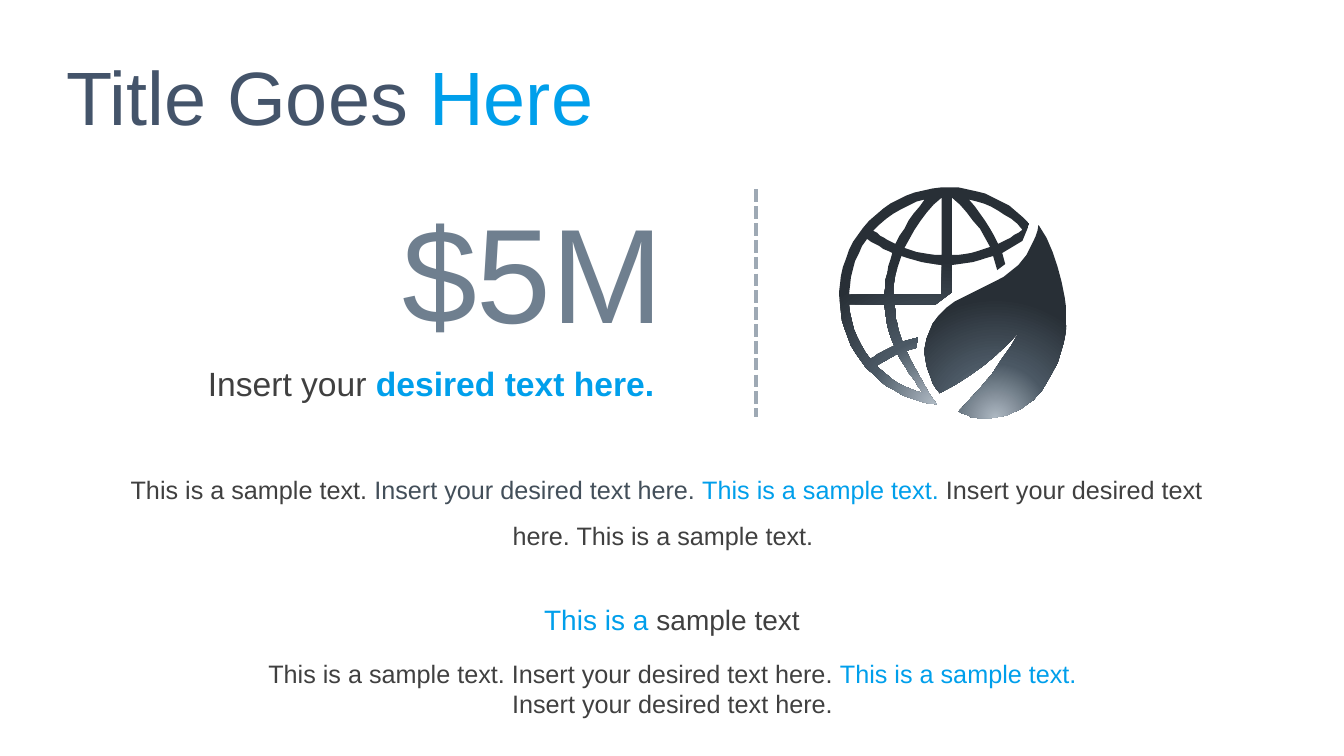
from dataclasses import dataclass
from math import atan, cos, sin

from lxml import etree
from pptx import Presentation
from pptx.dml.color import RGBColor
from pptx.enum.dml import MSO_LINE
from pptx.enum.shapes import MSO_CONNECTOR
from pptx.enum.text import MSO_ANCHOR, MSO_AUTO_SIZE, PP_ALIGN
from pptx.oxml import parse_xml
from pptx.oxml.ns import nsdecls, qn
from pptx.shapes.shapetree import SlideShapes
from pptx.util import Inches, Pt

LEFT, CENTER, RIGHT = PP_ALIGN.LEFT, PP_ALIGN.CENTER, PP_ALIGN.RIGHT
TOP, MIDDLE = MSO_ANCHOR.TOP, MSO_ANCHOR.MIDDLE
FIT_SHAPE = MSO_AUTO_SIZE.SHAPE_TO_FIT_TEXT
NO_RESIZE = MSO_AUTO_SIZE.NONE
SHORT_DASH = MSO_LINE.SQUARE_DOT
STRAIGHT = MSO_CONNECTOR.STRAIGHT

FONT = "Arial"
CHARCOAL = RGBColor(0x40, 0x40, 0x40)
STEEL = RGBColor(0x43, 0x4F, 0x5A)
NAVY = RGBColor(0x44, 0x54, 0x6A)
BLUE = RGBColor(0x00, 0x9F, 0xEB)
SLATE = RGBColor(0x6F, 0x7F, 0x8F)
DIVIDER_GRAY = RGBColor(0x9E, 0xA9, 0xB4)
# Radial icon gradient: position in percent and colour
ICON_STOPS = (
    (0, RGBColor(0xAE, 0xB9, 0xC3)),
    (46, RGBColor(0x4B, 0x58, 0x64)),
    (100, RGBColor(0x28, 0x2F, 0x36)),
)

# Corner in hundredths of an inch, and the bulge of the edge that follows:
# tangent of a quarter of its arc angle, positive when clockwise
Corner = tuple[int, int, float]
Contour = list[Corner]


@dataclass
class Span:
    text: str
    color: RGBColor
    bold: bool = False


@dataclass
class TextBlock:
    left: float
    top: float
    width: float
    height: float
    size: int
    paragraphs: list[list[Span]]
    align: PP_ALIGN = CENTER
    anchor: MSO_ANCHOR = TOP
    autosize: MSO_AUTO_SIZE = FIT_SHAPE
    line_spacing: float = 1.0


TEXT_BLOCKS = [
    TextBlock(1.12, 4.51, 10.98, 1.01, 18, [[
        Span("This is a sample text.", CHARCOAL),
        Span(" Insert your desired text here. ", STEEL),
        Span("This is a sample text. ", BLUE),
        Span("Insert your desired text here. This is a sample text. ", CHARCOAL),
    ]], line_spacing=1.5),
    TextBlock(0.56, 0.51, 5.48, 0.87, 54,
              [[Span("Title Goes ", NAVY), Span("Here", BLUE)]],
              align=LEFT, anchor=MIDDLE, autosize=NO_RESIZE),
    TextBlock(1.84, 3.55, 4.84, 0.5, 24, [[
        Span("Insert your ", CHARCOAL),
        Span("desired text here. ", BLUE, bold=True),
    ]], align=RIGHT),
    TextBlock(1.45, 1.83, 5.23, 1.72, 96, [[Span("$5M", SLATE)]], align=RIGHT),
    TextBlock(5.09, 5.93, 3.15, 0.44, 20,
              [[Span("This is a ", BLUE), Span("sample text", CHARCOAL)]]),
    TextBlock(1.45, 6.48, 10.44, 0.71, 18, [
        [Span("This is a sample text. Insert your desired text here. ", CHARCOAL),
         Span("This is a sample text.", BLUE)],
        [Span("Insert your desired text here.", CHARCOAL)],
    ]),
]

# The globe's rim, then its panes from bottom to top
GLOBE: list[Contour] = [
    [(929, 401, 1.46), (1021, 222, 0), (1014, 239, 0), (994, 251, 0), (997, 262, 0),
     (989, 268, 0), (985, 254, 0.05), (944, 263, 0), (944, 290, 0), (928, 302, 0),
     (887, 302, -0.08), (895, 339, 0), (910, 335, 0), (909, 345, 0), (899, 348, -0.05)],
    [(890, 351, 0), (869, 363, -0.14), (916, 390, 0.04)],
    [(842, 302, -0.15), (863, 356, 0.03), (887, 343, 0.08), (877, 302, 0)],
    [(894, 254, -0.1), (886, 292, 0), (934, 292, 0), (934, 263, 0.07)],
    [(860, 237, -0.15), (842, 292, 0), (877, 292, 0.07), (885, 251, 0.03)],
    [(917, 198, -0.15), (866, 229, -0.04), (888, 242, 0.05)],
    [(961, 198, 0.06), (990, 242, -0.07), (1014, 228, -0.16)],
    [(934, 196, -0.1), (897, 246, -0.1), (934, 253, 0)],
    [(944, 196, 0), (944, 253, -0.09), (982, 245, -0.1)],
]
LEAF: list[Contour] = [
    [(1030, 223, 0.12), (1058, 310, 0.15), (1039, 378, 0.3), (970, 415, 0.1),
     (951, 408, -0.07), (1011, 329, 0.1), (932, 390, 0.15), (917, 351, 0.26),
     (947, 299, 0), (995, 275, -0.21)],
]


def add_text_block(shapes: SlideShapes, block: TextBlock) -> None:
    box = shapes.add_textbox(Inches(block.left), Inches(block.top),
                             Inches(block.width), Inches(block.height))
    frame = box.text_frame
    frame.word_wrap = True
    frame.auto_size = block.autosize
    frame.vertical_anchor = block.anchor
    for index, spans in enumerate(block.paragraphs):
        paragraph = frame.add_paragraph() if index else frame.paragraphs[0]
        paragraph.alignment = block.align
        paragraph.line_spacing = block.line_spacing
        for span in spans:
            run = paragraph.add_run()
            run.text = span.text
            run.font.name = FONT
            run.font.size = Pt(block.size)
            run.font.bold = span.bold
            run.font.color.rgb = span.color


def trace_edge(first: Corner, second: Corner) -> list[tuple[float, float]]:
    """Points after the first corner, up to and including the second."""
    start, end, bulge = complex(*first[:2]), complex(*second[:2]), first[2]
    if not bulge:
        return [second[:2]]
    center = (start + end) / 2 + 1j * (end - start) * (1 - bulge ** 2) / (4 * bulge)
    sweep = 4 * atan(bulge)
    steps = max(6, round(abs(sweep) * 12))
    points = []
    for step in range(1, steps + 1):
        angle = sweep * step / steps
        point = center + (start - center) * complex(cos(angle), sin(angle))
        points.append((point.real, point.imag))
    return points


def add_icon_part(shapes: SlideShapes, contours: list[Contour]) -> None:
    builder = shapes.build_freeform(*contours[0][0][:2], scale=Inches(0.01))
    for index, contour in enumerate(contours):
        if index:
            builder.move_to(*contour[0][:2])
        for first, second in zip(contour, contour[1:] + contour[:1]):
            builder.add_line_segments(trace_edge(first, second),
                                      close=second is contour[0])
    part = builder.convert_to_shape()
    part.shadow.inherit = False
    part.line.fill.background()
    # Radial gradient centred below the part
    part.fill.solid()
    stops = "".join(f'<a:gs pos="{position * 1000}"><a:srgbClr val="{color}"/></a:gs>'
                    for position, color in ICON_STOPS)
    gradient = parse_xml(
        f'<a:gradFill {nsdecls("a")}><a:gsLst>{stops}</a:gsLst><a:path path="circle">'
        '<a:fillToRect l="50000" t="130000" r="50000" b="-30000"/></a:path></a:gradFill>')
    properties = part.element.spPr
    properties.replace(properties.find(qn("a:solidFill")), gradient)


def add_divider(shapes: SlideShapes, x: float, top: float, bottom: float) -> None:
    divider = shapes.add_connector(STRAIGHT, Inches(x), Inches(top),
                                   Inches(x), Inches(bottom))
    divider.line.color.rgb = DIVIDER_GRAY
    divider.line.width = Pt(3)
    divider.line.dash_style = SHORT_DASH
    etree.SubElement(divider.element.spPr, qn("a:effectLst"))


def main() -> None:
    deck = Presentation()
    deck.slide_width, deck.slide_height = Inches(13.33), Inches(7.5)
    shapes = deck.slides.add_slide(deck.slide_layouts[6]).shapes
    for block in TEXT_BLOCKS:
        add_text_block(shapes, block)
    for contours in (GLOBE, LEAF):
        add_icon_part(shapes, contours)
    add_divider(shapes, 7.5, 1.88, 4.14)
    deck.save("out.pptx")


if __name__ == "__main__":
    main()
